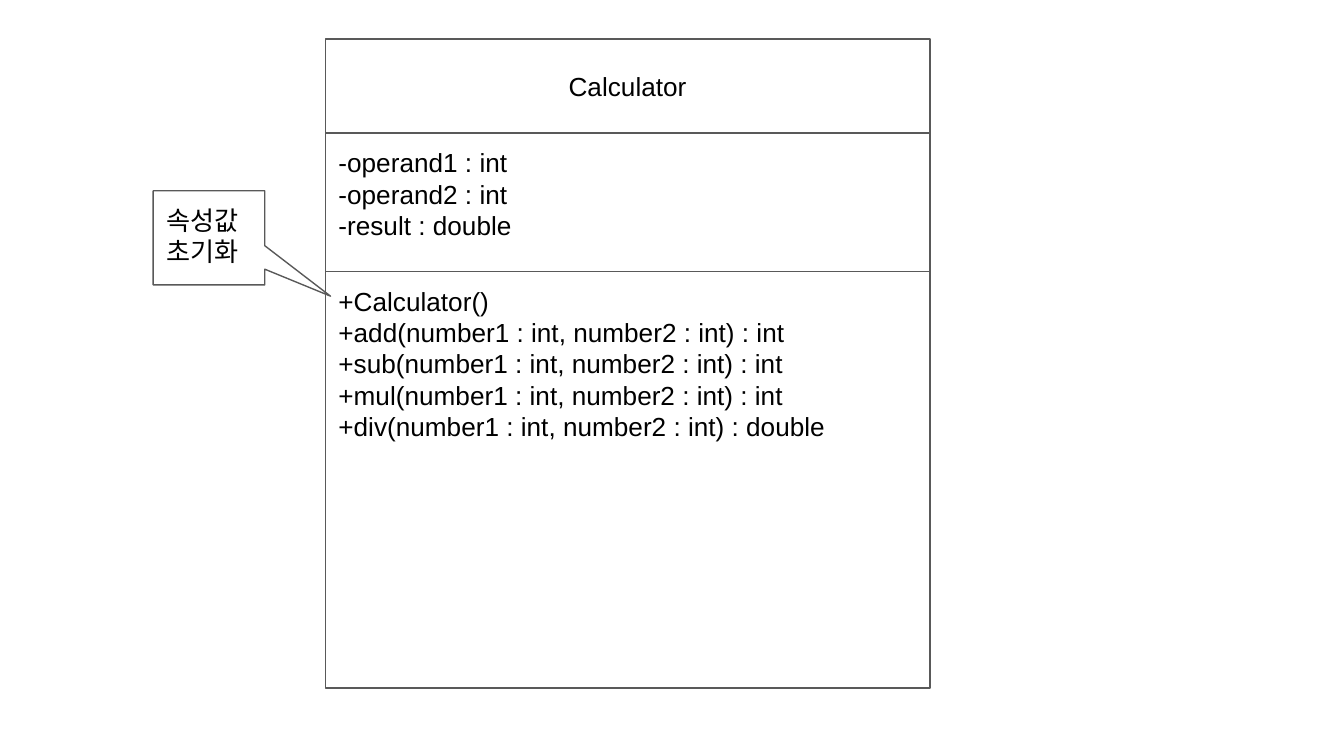
from pptx import Presentation
from pptx.dml.color import RGBColor
from pptx.enum.shapes import MSO_SHAPE as Shape
from pptx.enum.text import MSO_ANCHOR as Anchor, PP_ALIGN as Align
from pptx.util import Inches, Pt


def color(hex_value):
    """Turn a hex string into a colour."""
    return RGBColor.from_string(hex_value)


def add_box(kind, left, top, width, height, lines, align=Align.LEFT, anchor=Anchor.TOP):
    """Add an outlined white shape with one paragraph per line of text."""
    box = slide.shapes.add_shape(
        kind, Inches(left), Inches(top), Inches(width), Inches(height))
    box.shadow.inherit = False
    box.fill.solid()
    box.fill.fore_color.rgb = color("FFFFFF")
    box.line.color.rgb = color("595959")
    box.line.width = Pt(0.75)

    frame = box.text_frame
    frame_format = {"word_wrap": True, "vertical_anchor": anchor}
    for side in ("left", "top", "right", "bottom"):
        frame_format[f"margin_{side}"] = Inches(0.1)
    for name, value in frame_format.items():
        setattr(frame, name, value)

    frame.text = "\n".join(lines)
    font_format = {"name": "Arial", "size": Pt(14)}
    for paragraph in frame.paragraphs:
        paragraph.alignment = align
        font = paragraph.runs[0].font
        font.color.rgb = color("000000")
        for name, value in font_format.items():
            setattr(font, name, value)
    return box


prs = Presentation()
prs.slide_width = Inches(10)
prs.slide_height = prs.slide_width * 9 // 16
slide = prs.slides.add_slide(prs.slide_layouts[6])

class_left, class_width = 2.42, 4.5
attributes = ["-operand1 : int", "-operand2 : int", "-result : double"]
operations = ["+Calculator()"]
for operation, result in (("add", "int"), ("sub", "int"), ("mul", "int"), ("div", "double")):
    operations.append(f"+{operation}(number1 : int, number2 : int) : {result}")

compartments = [
    (0.29, 0.7, ["Calculator"], Align.CENTER, Anchor.MIDDLE),
    (0.99, 1.08, attributes, Align.LEFT, Anchor.TOP),
    (2.02, 3.1, operations, Align.LEFT, Anchor.TOP),
]
for top, height, lines, align, anchor in compartments:
    add_box(Shape.RECTANGLE, class_left, top, class_width, height, lines, align, anchor)

constructor_note = add_box(
    Shape.RECTANGULAR_CALLOUT, 1.14, 1.42, 0.83, 0.7, ["속성값 초기화"])
constructor_note.adjustments[0] = 1.09
constructor_note.adjustments[1] = 0.62

prs.save("out.pptx")
